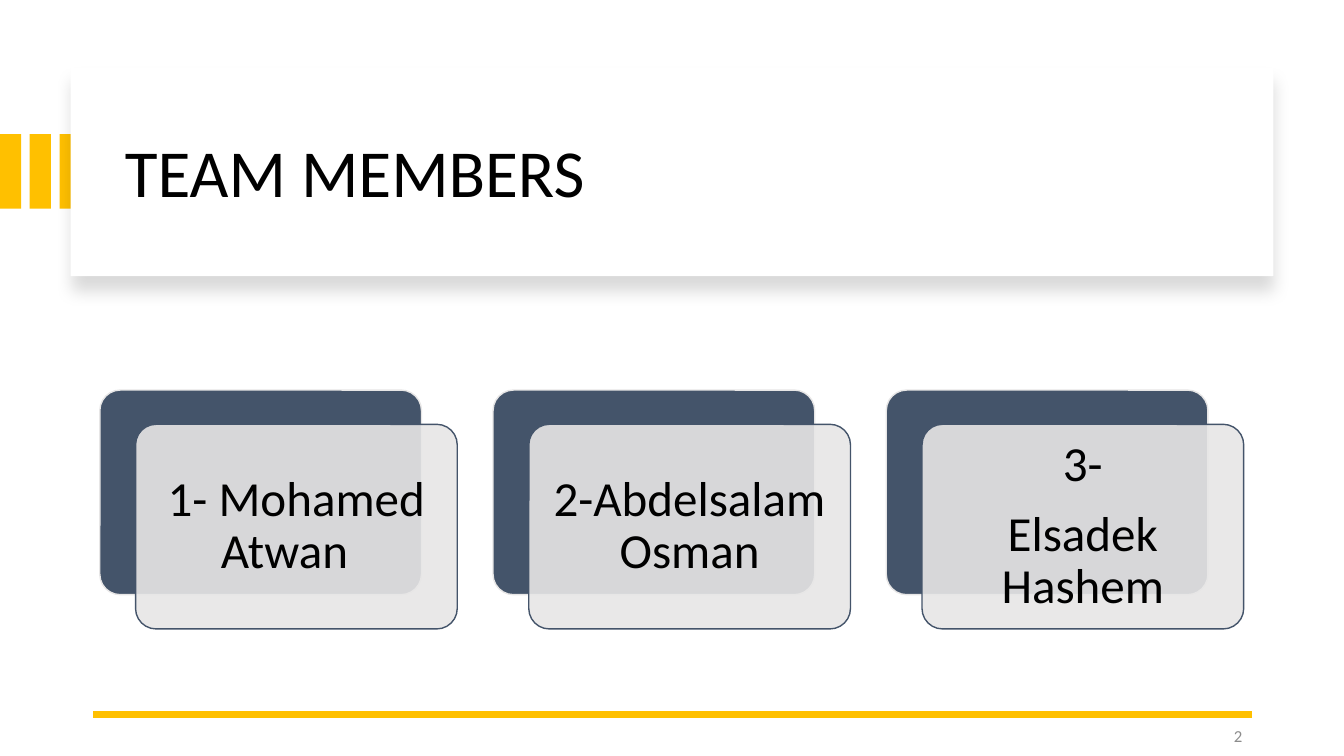
from lxml import etree
from pptx import Presentation
from pptx.dml.color import RGBColor
from pptx.enum.shapes import MSO_CONNECTOR, MSO_SHAPE
from pptx.enum.text import MSO_ANCHOR, PP_ALIGN
from pptx.oxml.ns import qn
from pptx.util import Inches, Pt

WHITE = RGBColor(0xFF, 0xFF, 0xFF)
BLACK = RGBColor(0x00, 0x00, 0x00)
GOLD = RGBColor(0xFF, 0xC0, 0x00)
NAVY = RGBColor(0x44, 0x54, 0x6A)
LIGHT_GRAY = RGBColor(0xE7, 0xE6, 0xE6)
NUMBER_GRAY = RGBColor(0x8C, 0x8C, 0x8C)
FONT = "Calibri"

MEMBERS = [
    ["1- Mohamed Atwan\t"],
    ["2-Abdelsalam Osman"],
    ["3-", "Elsadek Hashem"],
]


def add_box(slide, kind, left, top, width, height, fill, line=None):
    shape = slide.shapes.add_shape(
        kind, Inches(left), Inches(top), Inches(width), Inches(height))
    shape.shadow.inherit = False
    shape.fill.solid()
    shape.fill.fore_color.rgb = fill
    if line is None:
        shape.line.fill.background()
    else:
        shape.line.color.rgb = line
        shape.line.width = Pt(1)
    return shape


def add_text_box(slide, left, top, width, height):
    text_box = slide.shapes.add_textbox(
        Inches(left), Inches(top), Inches(width), Inches(height))
    return text_box.text_frame


def write_text(text_frame, lines, size, color, alignment,
               line_spacing=1.0, space_after=0):
    text_frame.word_wrap = True
    text_frame.vertical_anchor = MSO_ANCHOR.MIDDLE
    for index, line in enumerate(lines):
        paragraph = text_frame.add_paragraph() if index else text_frame.paragraphs[0]
        paragraph.alignment = alignment
        paragraph.line_spacing = line_spacing
        paragraph.space_after = Pt(space_after)
        run = paragraph.add_run()
        run.text = line
        run.font.name = FONT
        run.font.size = Pt(size)
        run.font.color.rgb = color


def set_opacity(shape, percent):
    color = shape.fill._xPr.find(qn("a:solidFill"))[0]
    etree.SubElement(color, qn("a:alpha"), val=str(percent * 1000))


def add_soft_shadow(shape):
    effects = shape._element.spPr.find(qn("a:effectLst"))
    shadow = etree.SubElement(
        effects, qn("a:outerShdw"), blurRad=str(Pt(11)), dist=str(Pt(10)),
        dir="5400000", algn="t", rotWithShape="0")
    color = etree.SubElement(shadow, qn("a:srgbClr"), val=str(BLACK))
    etree.SubElement(color, qn("a:alpha"), val="15000")


def add_header(slide, left, top, width, height):
    # Gold bars running in from the slide edge
    for index in range(3):
        add_box(slide, MSO_SHAPE.RECTANGLE, index * 0.295, top + 0.66, 0.21, 0.74, GOLD)
    # Raised title panel
    panel = add_box(slide, MSO_SHAPE.RECTANGLE, left, top, width, height, WHITE)
    add_soft_shadow(panel)
    title = add_text_box(slide, left + 0.44, top + 0.22, width - 0.81, height - 0.37)
    write_text(title, ["TEAM MEMBERS"], 48, BLACK, PP_ALIGN.LEFT, 0.9)


def add_member_card(slide, left, top, width, height, lines):
    back = add_box(slide, MSO_SHAPE.ROUNDED_RECTANGLE,
                   left, top, width, height, NAVY, LIGHT_GRAY)
    front = add_box(slide, MSO_SHAPE.ROUNDED_RECTANGLE,
                    left + 0.355, top + 0.34, width, height, LIGHT_GRAY, NAVY)
    for card in (back, front):
        card.adjustments[0] = 0.1
    set_opacity(front, 90)
    text_frame = front.text_frame
    text_frame.margin_left = text_frame.margin_right = Inches(0.15)
    text_frame.margin_top = text_frame.margin_bottom = Inches(0.15)
    write_text(text_frame, lines, 35, BLACK, PP_ALIGN.CENTER, 0.9, 12.2)


def add_members(slide, left, top, pitch):
    for index, lines in enumerate(MEMBERS):
        add_member_card(slide, left + index * pitch, top, 3.19, 2.03, lines)


def add_footer(slide, left, top, width):
    # Gold rule
    rule = slide.shapes.add_connector(
        MSO_CONNECTOR.STRAIGHT, Inches(left + width), Inches(top),
        Inches(left), Inches(top))
    rule.line.color.rgb = GOLD
    rule.line.width = Pt(4.5)
    etree.SubElement(rule._element.spPr, qn("a:effectLst"))
    # Slide number
    number = add_text_box(slide, left + width - 3, top + 0.01, 3, 0.4)
    write_text(number, ["2"], 12, NUMBER_GRAY, PP_ALIGN.RIGHT, space_after=6)


def main():
    presentation = Presentation()
    presentation.slide_width = Inches(13.33)
    presentation.slide_height = Inches(7.5)
    slide = presentation.slides.add_slide(presentation.slide_layouts[6])
    slide.background.fill.solid()
    slide.background.fill.fore_color.rgb = WHITE
    add_header(slide, 0.7, 0.67, 11.93, 2.07)
    add_footer(slide, 0.92, 7.09, 11.5)
    add_members(slide, 0.99, 3.87, 3.9)
    presentation.save("out.pptx")


if __name__ == "__main__":
    main()
